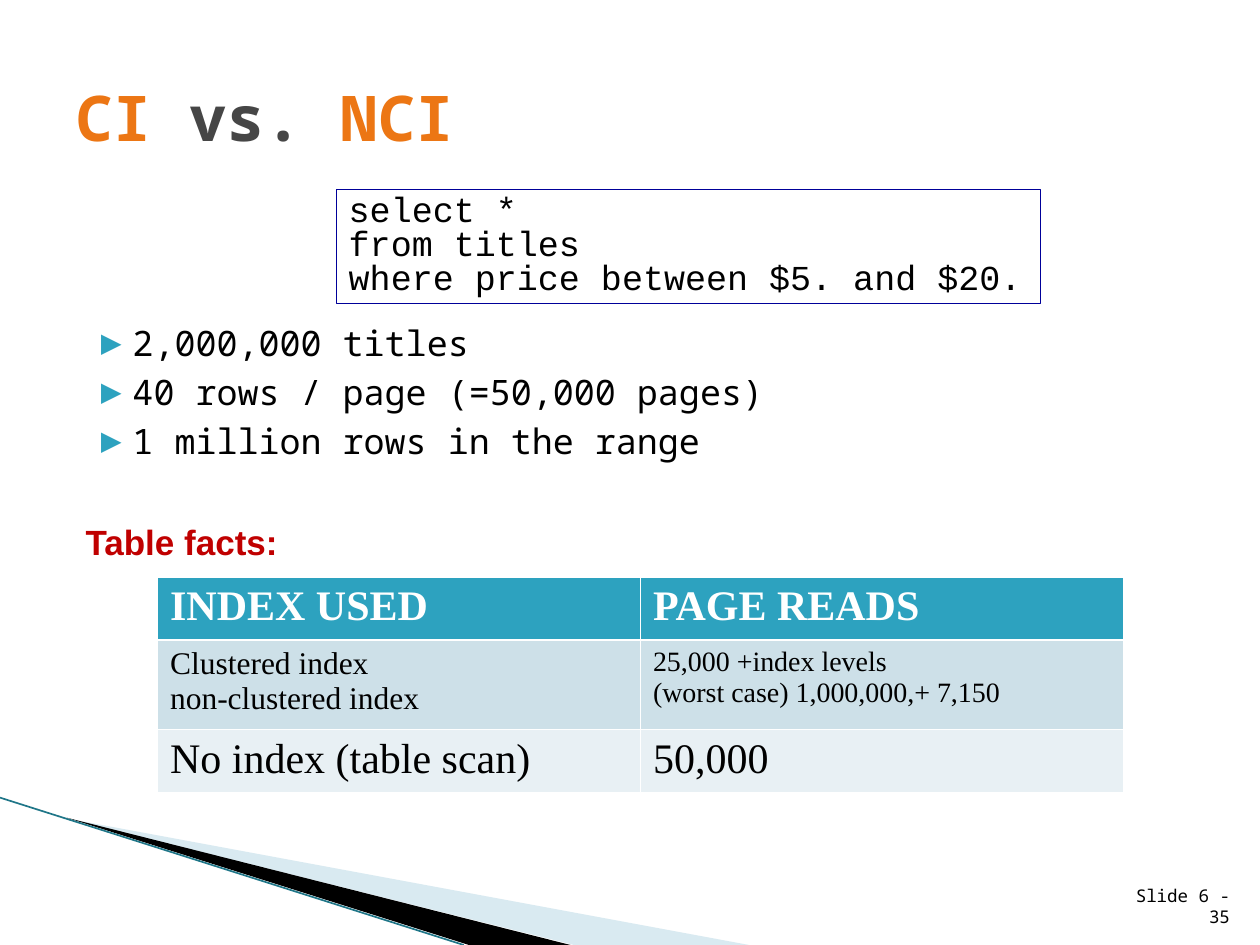
from lxml import etree
from pptx import Presentation
from pptx import util as u
from pptx.dml import color
from pptx.enum import shapes, text
from pptx.oxml import ns

Pt = u.Pt
MONO, SERIF = "Noto Sans Mono", "Times New Roman"
BLACK, WHITE, ORANGE, GRAY, TEAL = "000000", "FFFFFF", "EC7614", "464646", "2DA2BF"


def rgb(value):
    return color.RGBColor.from_string(value)


def add_element(parent, tag, **attributes):
    return etree.SubElement(parent, ns.qn(tag), attributes)


class SlideBuilder:
    def __init__(self, slide):
        self.slide = slide

    def style_runs(self, paragraph, size, font, hue, bold=False):
        for run in paragraph.runs:
            run.font.size = Pt(size)
            run.font.name = font
            run.font.bold = bold
            run.font.color.rgb = rgb(hue)

    def text_box(self, bounds, anchor=text.MSO_ANCHOR.TOP, wrap=True):
        box = self.slide.shapes.add_textbox(*map(Pt, bounds))
        box.text_frame.word_wrap = wrap
        box.text_frame.vertical_anchor = anchor
        return box.text_frame

    def title(self, bounds, pieces):
        paragraph = self.text_box(bounds, text.MSO_ANCHOR.MIDDLE).paragraphs[0]
        for words, hue in pieces:
            run = paragraph.add_run()
            run.text = words
            run.font.size = Pt(36)
            run.font.name = MONO
            run.font.bold = True
            run.font.color.rgb = rgb(hue)

    def label(self, bounds, words, size, font, hue, bold=False, wrap=True,
              anchor=text.MSO_ANCHOR.TOP, align=text.PP_ALIGN.LEFT):
        frame = self.text_box(bounds, anchor, wrap)
        frame.text = words
        frame.paragraphs[0].alignment = align
        self.style_runs(frame.paragraphs[0], size, font, hue, bold)

    def bullets(self, bounds, items):
        frame = self.text_box(bounds)
        frame.text = "\n".join(items)
        for index, paragraph in enumerate(frame.paragraphs):
            properties = paragraph._p.get_or_add_pPr()
            properties.set("marL", str(Pt(28.8)))
            properties.set("indent", str(Pt(-20.16)))
            if index:
                paragraph.space_before = Pt(4)
            bullet_color = add_element(properties, "a:buClr")
            add_element(bullet_color, "a:srgbClr", val=TEAL)
            add_element(properties, "a:buFont", typeface=MONO)
            add_element(properties, "a:buChar", char="▶")
            self.style_runs(paragraph, 20, MONO, BLACK)

    def code(self, bounds, words):
        shape = self.slide.shapes.add_shape(shapes.MSO_SHAPE.RECTANGLE, *map(Pt, bounds))
        shape.shadow.inherit = False
        shape.fill.solid()
        shape.fill.fore_color.rgb = rgb(WHITE)
        shape.line.color.rgb = rgb("000099")
        shape.line.width = Pt(0.25)
        frame = shape.text_frame
        frame.word_wrap = False
        frame.text = words
        for paragraph in frame.paragraphs:
            paragraph.alignment = text.PP_ALIGN.LEFT
            paragraph.line_spacing = 0.8
            self.style_runs(paragraph, 20, "Courier New", BLACK)

    def wedge(self, points, hue, opacity=100):
        corners = [(Pt(x), Pt(y)) for x, y in points]
        builder = self.slide.shapes.build_freeform(*corners[0], scale=1.0)
        builder.add_line_segments(corners[1:], close=True)
        shape = builder.convert_to_shape()
        shape.shadow.inherit = False
        shape.line.fill.background()
        shape.fill.solid()
        shape.fill.fore_color.rgb = rgb(hue)
        if opacity < 100:
            fill_color = shape._element.spPr.find(".//" + ns.qn("a:srgbClr"))
            add_element(fill_color, "a:alpha", val=str(opacity * 1000))

    def line(self, start, end, hue, width):
        connector = self.slide.shapes.add_connector(
            shapes.MSO_CONNECTOR.STRAIGHT, *map(Pt, start + end))
        connector.line.color.rgb = rgb(hue)
        connector.line.width = Pt(width)
        add_element(connector._element.spPr, "a:effectLst")

    def table(self, bounds, heights, rows, fills):
        frame = self.slide.shapes.add_table(len(rows), len(rows[0]), *map(Pt, bounds))
        table = frame.table
        for row_index, row in enumerate(rows):
            table.rows[row_index].height = Pt(heights[row_index])
            header = row_index == 0
            for column_index, (words, size) in enumerate(row):
                cell = table.cell(row_index, column_index)
                cell.fill.solid()
                cell.fill.fore_color.rgb = rgb(fills[row_index])
                cell.text_frame.text = words
                for paragraph in cell.text_frame.paragraphs:
                    self.style_runs(paragraph, size, SERIF, WHITE if header else BLACK, header)


def main():
    presentation = Presentation()
    presentation.slide_width, presentation.slide_height = Pt(720), Pt(540)
    builder = SlideBuilder(presentation.slides.add_slide(presentation.slide_layouts[6]))

    builder.wedge([(39.6, 468), (428, 540), (328, 540)], "A0CBDC", 40)
    builder.wedge([(38.2, 467.3), (326, 540), (268, 540)], BLACK)
    builder.line((0, 455.8), (265, 540), "1F7688", 0.95)

    builder.bullets((36, 180, 648, 293), [
        "2,000,000 titles",
        "40 rows / page (=50,000 pages)",
        "1 million rows in the range",
    ])
    builder.title((36, 21.6, 648, 90), [("CI", ORANGE), (" vs. ", GRAY), ("NCI", ORANGE)])
    builder.label((624.2, 504.7, 85.7, 28.8), "Slide 6 - 35", 10, MONO, BLACK,
                  anchor=text.MSO_ANCHOR.BOTTOM, align=text.PP_ALIGN.RIGHT)
    builder.code((192.2, 108, 402.5, 65.5),
                 "select *\vfrom titles \vwhere price between $5. and $20.")
    builder.label((41.8, 293.8, 125.3, 31.7), "Table facts:", 20, "Arial", "C00000",
                  bold=True, wrap=False)
    builder.table((90, 329.8, 552, 122), (35.5, 51, 35.5), [
        [("INDEX USED", 24), ("PAGE READS", 24)],
        [("Clustered index\vnon-clustered index", 18),
         ("25,000 +index levels\n(worst case) 1,000,000,+ 7,150", 16)],
        [("No index (table scan)", 24), ("50,000", 24)],
    ], (TEAL, "CDE0E8", "E8F0F4"))
    presentation.save("out.pptx")


if __name__ == "__main__":
    main()
